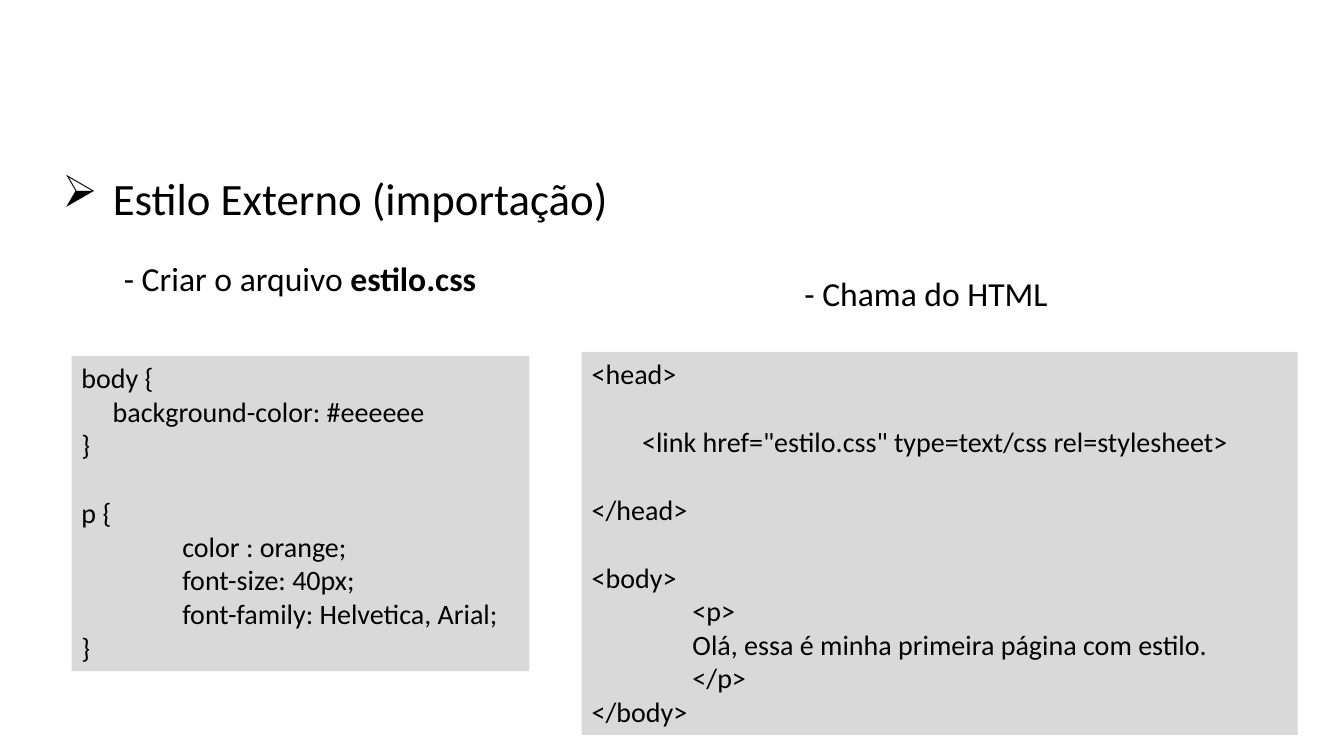
from dataclasses import dataclass

from lxml.etree import SubElement
from pptx import Presentation
from pptx.dml.color import RGBColor
from pptx.enum.shapes import MSO_SHAPE as Preset
from pptx.enum.text import MSO_ANCHOR as Anchor, PP_ALIGN as Align
from pptx.oxml.ns import qn
from pptx.slide import Slide
from pptx.text.text import TextFrame
from pptx.util import Inches, Length, Pt


@dataclass(frozen=True)
class Theme:
    font: str = "Calibri"
    text: RGBColor = RGBColor(0x00, 0x00, 0x00)
    code_fill: RGBColor = RGBColor(0xD9, 0xD9, 0xD9)
    title_size: Length = Pt(32)
    label_size: Length = Pt(24)
    code_size: Length = Pt(20)
    code_gap: Length = Pt(24.4)  # height of one line of code


@dataclass(frozen=True)
class Box:
    left: float
    top: float
    width: float
    height: float

    def lengths(self) -> tuple[Length, ...]:
        return tuple(Inches(n) for n in (self.left, self.top, self.width, self.height))


@dataclass(frozen=True)
class Line:
    text: str
    indent: float = 0
    gap_before: bool = False
    bold_end: str = ""


@dataclass(frozen=True)
class Label:
    box: Box
    line: Line


@dataclass(frozen=True)
class CodePanel:
    box: Box
    lines: tuple[Line, ...]


THEME = Theme()
TAB = 1.0

TITLE = Label(Box(0.52, 1.64, 11.25, 0.64), Line("Estilo Externo (importação)", 0.5))

LABELS = (
    Label(Box(1.13, 2.51, 4.32, 0.5), Line("- Criar o arquivo ", bold_end="estilo.css")),
    Label(Box(7.88, 2.66, 4.32, 0.5), Line("- Chama do HTML")),
)

CODE_PANELS = (
    CodePanel(Box(0.71, 3.53, 4.54, 3.13), (
        Line("body {"),
        Line("background-color: #eeeeee", 0.31),
        Line("}"),
        Line("p {", gap_before=True),
        Line("color : orange;", TAB),
        Line("font-size: 40px;", TAB),
        Line("font-family: Helvetica, Arial;", TAB),
        Line("}"),
    )),
    CodePanel(Box(5.77, 3.49, 7.1, 3.8), (
        Line("<head>"),
        Line('<link href="estilo.css" type=text/css rel=stylesheet>', 0.5, gap_before=True),
        Line("</head>", gap_before=True),
        Line("<body>", gap_before=True),
        Line("<p>", TAB),
        Line("Olá, essa é minha primeira página com estilo.", TAB),
        Line("</p>", TAB),
        Line("</body>"),
    )),
)


def write_text(frame: TextFrame, lines: tuple[Line, ...], *, size: Length,
               anchor: Anchor = Anchor.TOP, bullet: str = "") -> None:
    frame.word_wrap = True
    frame.vertical_anchor = anchor
    for number, line in enumerate(lines):
        paragraph = frame.add_paragraph() if number else frame.paragraphs[0]
        paragraph.alignment = Align.LEFT
        if line.gap_before:
            paragraph.space_before = THEME.code_gap
        for text, bold in ((line.text, False), (line.bold_end, True)):
            if text:
                run = paragraph.add_run()
                run.text = text
                run.font.name = THEME.font
                run.font.size = size
                run.font.bold = bold
                run.font.color.rgb = THEME.text
        # Indents and bullets
        properties = paragraph._p.get_or_add_pPr()
        properties.set("marL", str(Inches(line.indent)))
        properties.set("indent", str(-Inches(line.indent) if bullet else 0))
        if bullet:
            SubElement(properties, qn("a:buChar")).set("char", bullet)


def add_label(slide: Slide, label: Label, size: Length, bullet: str = "") -> None:
    shape = slide.shapes.add_textbox(*label.box.lengths())
    write_text(shape.text_frame, (label.line,), size=size, bullet=bullet)


def add_code_panel(slide: Slide, panel: CodePanel) -> None:
    shape = slide.shapes.add_shape(Preset.RECTANGLE, *panel.box.lengths())
    shape.shadow.inherit = False
    shape.fill.solid()
    shape.fill.fore_color.rgb = THEME.code_fill
    shape.line.fill.background()
    write_text(shape.text_frame, panel.lines, size=THEME.code_size)


def main() -> None:
    presentation = Presentation()
    presentation.slide_width = Inches(13.33)
    presentation.slide_height = Inches(7.5)
    slide = presentation.slides.add_slide(presentation.slide_layouts[6])

    # Heading and the label of each step
    add_label(slide, TITLE, THEME.title_size, bullet="➢")
    for label in LABELS:
        add_label(slide, label, THEME.label_size)

    # Style sheet and the page that calls it
    for panel in CODE_PANELS:
        add_code_panel(slide, panel)

    presentation.save("out.pptx")


main()
